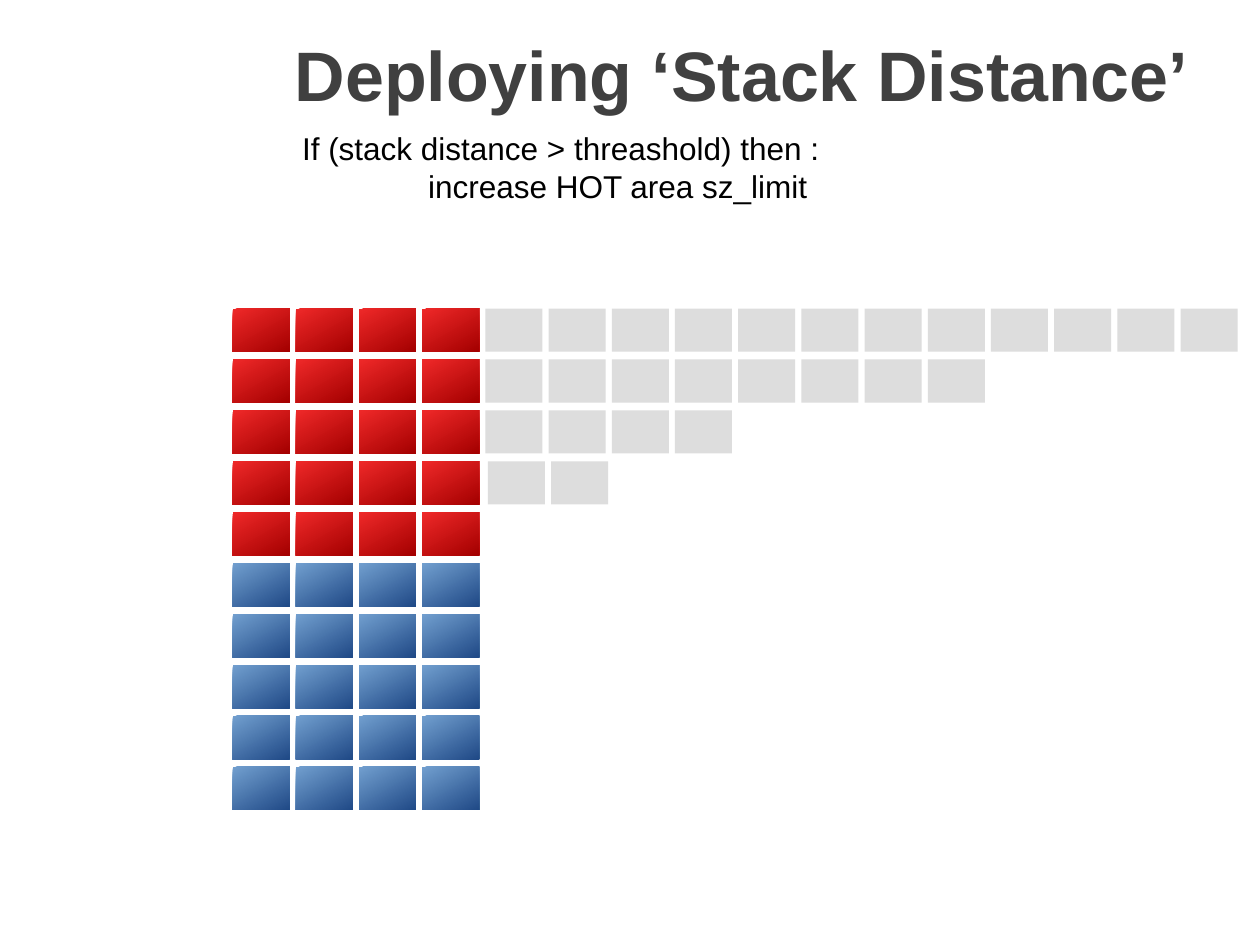
import pptx
import pptx.dml.color
import pptx.enum.shapes
import pptx.enum.text
import pptx.util
from pptx.util import Cm

COLORS = {
    "title": "404040",
    "text": "000000",
    "background": "FFFFFF",
    "hot_light": "EF2929",
    "hot_dark": "A40000",
    "cold_light": "729FCF",
    "cold_dark": "204A87",
    "spare": "DDDDDD",
}
CELL_WIDTH, CELL_HEIGHT = Cm(1.15), Cm(0.87)
BASE_COLUMNS = 4
HOT_ROWS, COLD_ROWS = 5, 5
SPARE_COUNTS = [12, 8, 4, 2]
SHIFTED_ROW = 3


def rgb(name):
    return pptx.dml.color.RGBColor.from_string(COLORS[name])


def style_paragraph(paragraph, size, color, bold=False):
    paragraph.font.name = "Arial"
    paragraph.font.size = pptx.util.Pt(size)
    paragraph.font.bold = bold
    paragraph.font.color.rgb = rgb(color)


def add_rectangle(slide, left, top, width, height):
    shape = slide.shapes.add_shape(
        pptx.enum.shapes.MSO_SHAPE.RECTANGLE, left, top, width, height
    )
    shape.shadow.inherit = False
    shape.line.fill.background()
    return shape


def fill_solid(shape, color):
    shape.fill.solid()
    shape.fill.fore_color.rgb = rgb(color)


def fill_gradient(shape, *colors):
    shape.fill.gradient()
    shape.fill.gradient_angle = 300
    for stop, color in zip(shape.fill.gradient_stops, colors):
        stop.color.rgb = rgb(color)


def add_title(slide, left, top, width, height):
    frame = slide.shapes.add_textbox(left, top, width, height).text_frame
    frame.word_wrap = True
    frame.vertical_anchor = pptx.enum.text.MSO_ANCHOR.MIDDLE
    paragraph = frame.paragraphs[0]
    paragraph.text = "Deploying ‘Stack Distance’"
    paragraph.alignment = pptx.enum.text.PP_ALIGN.CENTER
    style_paragraph(paragraph, 40, "title", bold=True)


def add_rule(slide, left, top, width, height):
    shape = add_rectangle(slide, left, top, width, height)
    fill_solid(shape, "background")
    frame = shape.text_frame
    frame.word_wrap = True
    frame.vertical_anchor = pptx.enum.text.MSO_ANCHOR.MIDDLE
    frame.text = "If (stack distance > threashold) then :\nincrease HOT area sz_limit"
    for paragraph in frame.paragraphs:
        paragraph.alignment = pptx.enum.text.PP_ALIGN.LEFT
        style_paragraph(paragraph, 18, "text")
    frame.paragraphs[1]._p.get_or_add_pPr().set("marL", str(Cm(2.54)))


def add_cache_grid(slide, left, top, width, height):
    row_count = HOT_ROWS + COLD_ROWS
    column_count = BASE_COLUMNS + max(SPARE_COUNTS)
    column_step = (width - CELL_WIDTH) / (column_count - 1)
    row_step = (height - CELL_HEIGHT) / (row_count - 1)

    def add_cell(row, column, shift=0):
        return add_rectangle(
            slide,
            round(left + column * column_step + shift),
            round(top + row * row_step),
            CELL_WIDTH,
            CELL_HEIGHT,
        )

    for row in range(row_count):
        area = "hot" if row < HOT_ROWS else "cold"
        for column in range(BASE_COLUMNS):
            fill_gradient(add_cell(row, column), f"{area}_light", f"{area}_dark")

    for row, count in enumerate(SPARE_COUNTS):
        shift = Cm(0.05) if row == SHIFTED_ROW else 0
        for column in range(BASE_COLUMNS, BASE_COLUMNS + count):
            fill_solid(add_cell(row, column, shift), "spare")


def main():
    presentation = pptx.Presentation()
    presentation.slide_width = Cm(25.4)
    presentation.slide_height = Cm(19.05)
    slide = presentation.slides.add_slide(presentation.slide_layouts[6])
    add_title(slide, Cm(4.5), Cm(0), Cm(20.9), Cm(2.97))
    add_cache_grid(slide, Cm(4.69), Cm(6.22), Cm(20.26), Cm(10.11))
    add_rule(slide, Cm(5.84), Cm(2.8), Cm(18.29), Cm(1.14))
    presentation.save("out.pptx")


if __name__ == "__main__":
    main()
